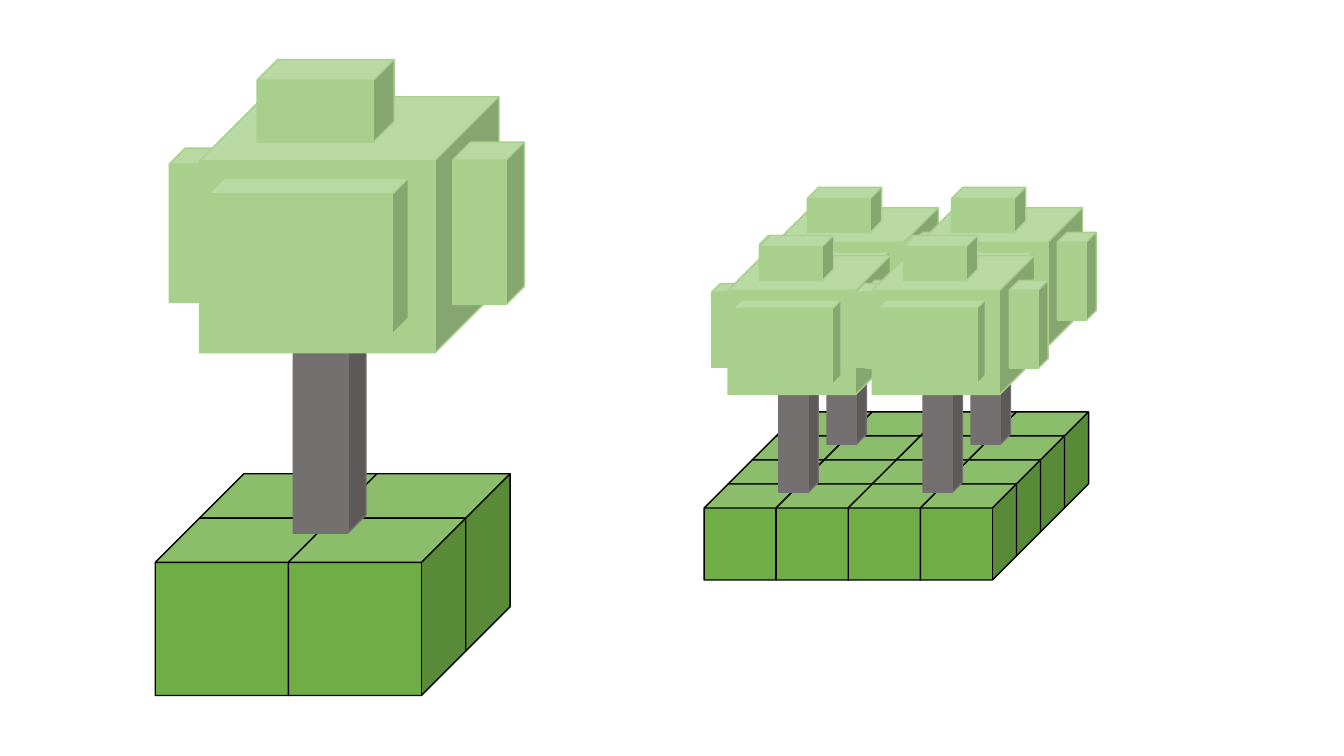
"""Build a slide with one large block tree and a grove of four small ones."""
import pptx
import pptx.util
import pptx.dml.color
import pptx.enum.shapes

Inches = pptx.util.Inches

COLORS = {"grass": "70AD47", "leaf": "A8D08C", "bark": "757070", "edge": "000000"}

BLOCK = 1.76
DEPTH = 0.25
THIN_DEPTH = 0.1
STEP_RIGHT = BLOCK * (1 - DEPTH)
STEP_FRONT = BLOCK * DEPTH
GROUND_TOP = 4.11

GROUND = [
    ((1 - row) * STEP_FRONT + column * STEP_RIGHT, GROUND_TOP + row * STEP_FRONT,
     BLOCK, BLOCK, DEPTH, "grass", "edge")
    for column in range(2) for row in range(2)
]
PLANT = [
    (0.14, 0.88, 0.63, 1.53, DEPTH, "leaf", "leaf"),
    (1.37, 1.97, 0.72, 2.73, DEPTH, "bark", "bark"),
    (0.44, 0.37, 2.97, 2.54, DEPTH, "leaf", "leaf"),
    (1.01, 0, 1.36, 0.82, DEPTH, "leaf", "leaf"),
    (2.95, 0.82, 0.71, 1.61, DEPTH, "leaf", "leaf"),
    (0.53, 1.18, 1.98, 1.54, THIN_DEPTH, "leaf", "leaf"),
]

LARGE_TREE = (1.54, 0.59, 1)
SMALL_SCALE = 13 / 24
GROVE_LEFT, GROVE_TOP = 7.46, 1.86
GROVE_RIGHT_STEP = 2 * STEP_RIGHT * SMALL_SCALE
GROVE_FRONT_STEP = 2 * STEP_FRONT * SMALL_SCALE
GROVE = [
    (GROVE_LEFT + column * GROVE_RIGHT_STEP - row * GROVE_FRONT_STEP,
     GROVE_TOP + row * GROVE_FRONT_STEP, SMALL_SCALE)
    for column in range(2) for row in range(2)
]


def rgb(name):
    """Return the named colour."""
    return pptx.dml.color.RGBColor.from_string(COLORS[name])


def add_tree(slide, left, top, scale):
    """Add one grouped tree with its top left corner at the given place."""
    tree = slide.shapes.add_group_shape()
    for x, y, width, height, depth, fill, line in GROUND + PLANT:
        cube = tree.shapes.add_shape(
            pptx.enum.shapes.MSO_SHAPE.CUBE,
            Inches(left + x * scale), Inches(top + y * scale),
            Inches(width * scale), Inches(height * scale))
        cube.adjustments[0] = depth
        cube.shadow.inherit = False
        cube.fill.solid()
        cube.fill.fore_color.rgb = rgb(fill)
        cube.line.color.rgb = rgb(line)
        cube.line.width = pptx.util.Pt(1)


def main():
    """Create and save the deck."""
    deck = pptx.Presentation()
    deck.slide_width = Inches(13.33)
    deck.slide_height = Inches(7.5)
    slide = deck.slides.add_slide(deck.slide_layouts[6])
    for left, top, scale in [LARGE_TREE] + GROVE:
        add_tree(slide, left, top, scale)
    deck.save("out.pptx")


if __name__ == "__main__":
    main()
